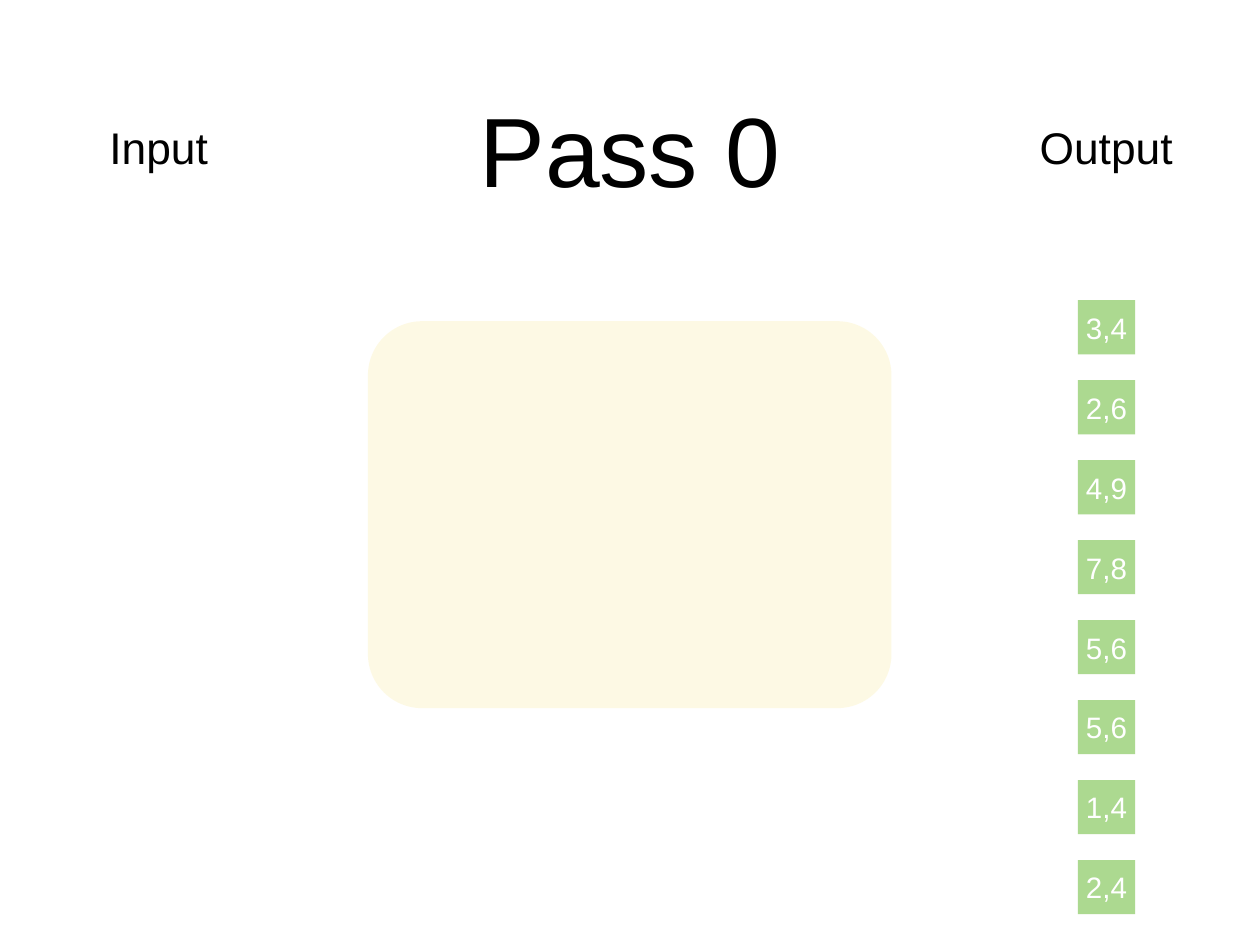
from dataclasses import dataclass

from lxml.etree import SubElement
from pptx import Presentation
from pptx.dml.color import RGBColor
from pptx.enum.shapes import MSO_SHAPE
from pptx.enum.text import MSO_ANCHOR, PP_ALIGN
from pptx.oxml.ns import qn
from pptx.util import Pt


@dataclass(frozen=True)
class Theme:
    font: str = "Arial"
    ink: str = "000000"
    light: str = "FFFFFF"
    green: str = "70BF41"
    yellow: str = "F5D328"
    title: int = 80
    label: int = 36
    page: int = 24


THEME = Theme()
PAGES = ["3,4", "2,6", "4,9", "7,8", "5,6", "5,6", "1,4", "2,4"]
PAGE_TOP = 244
PAGE_STEP = 65


def set_text(shape, text, size, color, inset=0, wrap=True):
    """Write one line centred both ways."""
    frame = shape.text_frame
    frame.text = text
    frame.word_wrap = wrap
    frame.vertical_anchor = MSO_ANCHOR.MIDDLE
    frame.margin_left = frame.margin_right = Pt(inset)
    frame.margin_top = frame.margin_bottom = Pt(inset)
    line = frame.paragraphs[0]
    line.alignment = PP_ALIGN.CENTER
    font = line.runs[0].font
    font.name = THEME.font
    font.size = Pt(size)
    font.color.rgb = RGBColor.from_string(color)


def add_label(slide, text, left, top, width, height, size, **layout):
    box = slide.shapes.add_textbox(Pt(left), Pt(top), Pt(width), Pt(height))
    set_text(box, text, size, THEME.ink, **layout)


def add_block(slide, kind, left, top, width, height, color, opacity):
    """Add a borderless shape with a see-through fill; opacity in percent."""
    block = slide.shapes.add_shape(
        kind, Pt(left), Pt(top), Pt(width), Pt(height))
    block.shadow.inherit = False
    block.line.fill.background()
    block.fill.solid()
    block.fill.fore_color.rgb = RGBColor.from_string(color)
    tint = block.fill._xPr.find(qn("a:solidFill"))[0]
    SubElement(tint, qn("a:alpha")).set("val", str(opacity * 1000))
    return block


def add_buffer(slide):
    area = add_block(slide, MSO_SHAPE.ROUNDED_RECTANGLE,
                     299, 261, 425.5, 314.5, THEME.yellow, 12)
    area.adjustments[0] = 0.14


def add_page(slide, top, text):
    page = add_block(slide, MSO_SHAPE.RECTANGLE,
                     876, top, 46.5, 44, THEME.green, 58)
    set_text(page, text, THEME.page, THEME.light)


def main():
    deck = Presentation()
    deck.slide_width = Pt(1024)
    deck.slide_height = Pt(768)
    slide = deck.slides.add_slide(deck.slide_layouts[6])

    for text, left, width in [("Input", 83.5, 91), ("Output", 839.5, 119)]:
        add_label(slide, text, left, 93.5, width, 51, THEME.label,
                  inset=4, wrap=False)
    add_label(slide, "Pass 0", 75, 35.5, 874, 170, THEME.title)
    add_buffer(slide)
    for row, text in enumerate(PAGES):
        add_page(slide, PAGE_TOP + row * PAGE_STEP, text)

    deck.save("out.pptx")


if __name__ == "__main__":
    main()
